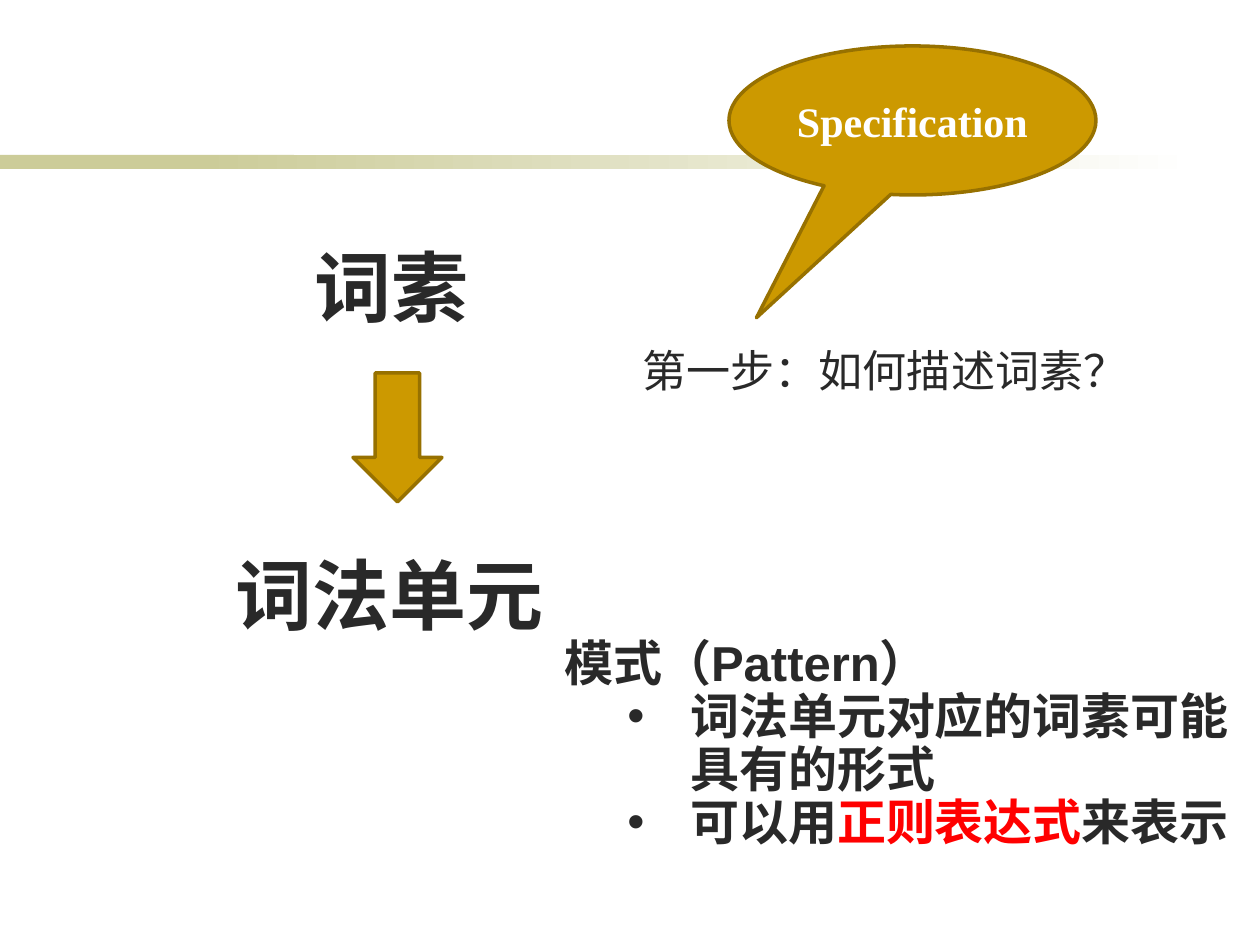
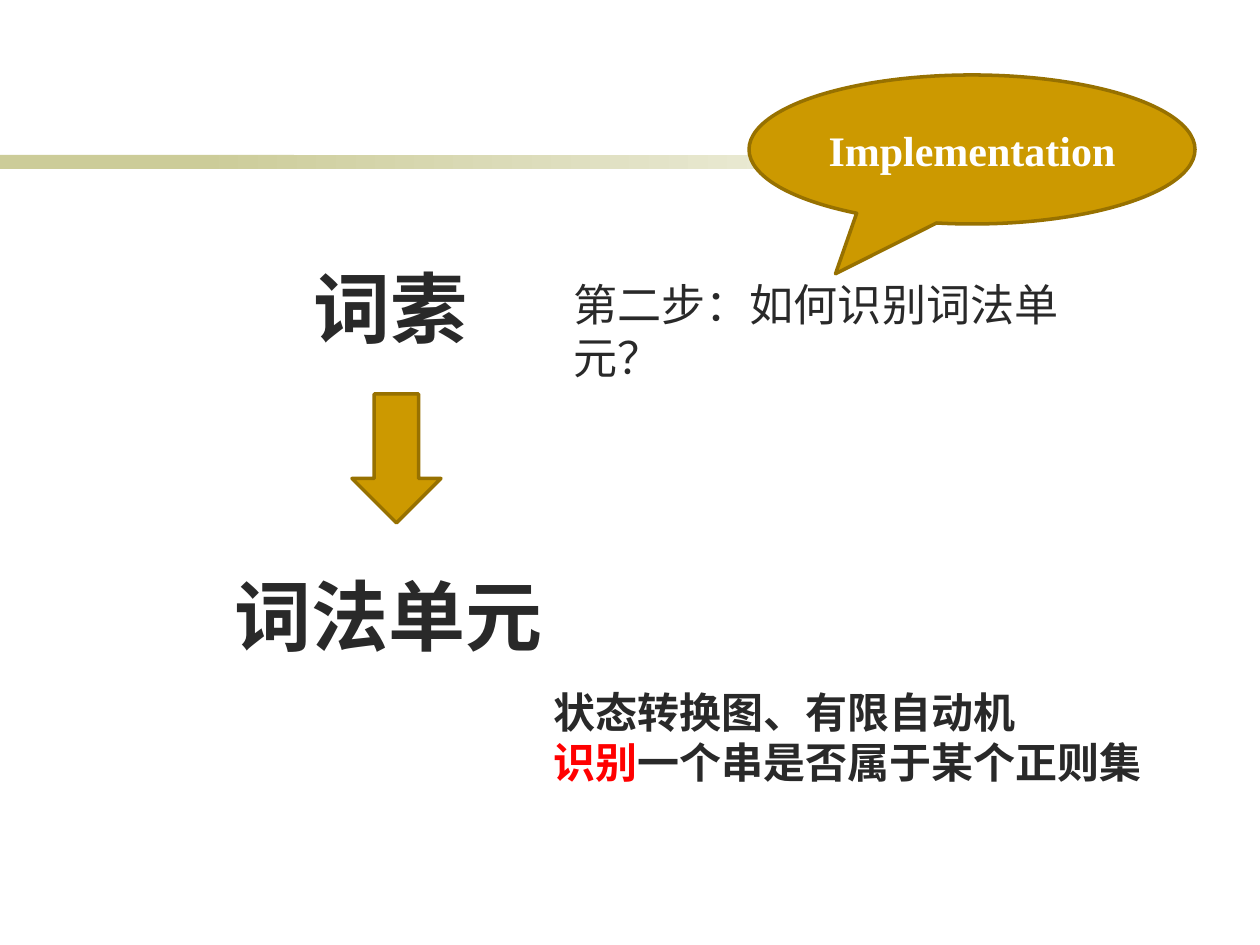
"""Build two slides on specifying and implementing lexical analysis."""
from dataclasses import dataclass

from lxml import etree
from pptx import Presentation
from pptx.dml.color import RGBColor
from pptx.enum.shapes import MSO_SHAPE
from pptx.enum.text import MSO_ANCHOR, MSO_AUTO_SIZE, PP_ALIGN
from pptx.oxml.ns import qn
from pptx.util import Emu, Pt

RECTANGLE = MSO_SHAPE.RECTANGLE
DOWN_ARROW = MSO_SHAPE.DOWN_ARROW
CALLOUT = MSO_SHAPE.OVAL_CALLOUT
TOP, MIDDLE, BOTTOM = MSO_ANCHOR.TOP, MSO_ANCHOR.MIDDLE, MSO_ANCHOR.BOTTOM
CENTER = PP_ALIGN.CENTER
GROW = MSO_AUTO_SIZE.SHAPE_TO_FIT_TEXT
NO_FIT = MSO_AUTO_SIZE.NONE
PX = 914400 / 126


@dataclass(frozen=True)
class Theme:
    ink: str = "292929"
    accent: str = "FF0000"
    gold: str = "CC9900"
    gold_edge: str = "977100"
    band: str = "CCCC99"
    paper: str = "FFFFFF"
    body_font: str = "Arial"
    callout_font: str = "Times New Roman"
    question_size: float = 25.2
    term_size: float = 44
    pattern_size: float = 28
    note_size: float = 24
    edge_width: float = 2
    tight: float = 0.9


def px(length):
    return Emu(round(length * PX))


def rgb(value):
    return RGBColor.from_string(value)


class Deck:
    def __init__(self, theme):
        self.theme = theme
        self.presentation = Presentation()
        self.presentation.slide_width = px(1260)
        self.presentation.slide_height = px(945)
        self.slide = None

    def new_slide(self):
        blank = self.presentation.slide_layouts[6]
        self.slide = self.presentation.slides.add_slide(blank)
        self.band(0, 294)
        self.band(199, 998, fade=True)

    def shape(self, kind, box):
        shape = self.slide.shapes.add_shape(kind, *map(px, box))
        shape.shadow.inherit = False
        return shape

    def band(self, left, width, fade=False):
        band = self.shape(RECTANGLE, (left, 155, width, 14))
        band.line.fill.background()
        if fade:
            band.fill.gradient()
            band.fill.gradient_angle = 0
            colors = (self.theme.band, self.theme.paper)
            for stop, color in zip(band.fill.gradient_stops, colors):
                stop.color.rgb = rgb(color)
        else:
            band.fill.solid()
            band.fill.fore_color.rgb = rgb(self.theme.band)

    def gold_shape(self, kind, box):
        shape = self.shape(kind, box)
        shape.fill.solid()
        shape.fill.fore_color.rgb = rgb(self.theme.gold)
        shape.line.color.rgb = rgb(self.theme.gold_edge)
        shape.line.width = Pt(self.theme.edge_width)
        return shape

    def callout(self, box, tail, label):
        callout = self.gold_shape(CALLOUT, box)
        callout.adjustments[0], callout.adjustments[1] = tail
        callout.text_frame.vertical_anchor = MIDDLE
        paragraph = callout.text_frame.paragraphs[0]
        paragraph.alignment = CENTER
        self.run(paragraph, label, self.theme.note_size, True,
                 self.theme.paper, self.theme.callout_font)

    def run(self, paragraph, words, size, bold, color, font):
        run = paragraph.add_run()
        run.text = words
        run.font.size = Pt(size)
        run.font.bold = bold
        run.font.name = font
        run.font.color.rgb = rgb(color)

    def text(self, box, lines, size, bold=True, spacing=None,
             anchor=TOP, fit=GROW, bullets_from=None):
        frame = self.slide.shapes.add_textbox(*map(px, box)).text_frame
        frame.word_wrap = True
        frame.auto_size = fit
        frame.vertical_anchor = anchor
        for index, line in enumerate(lines):
            paragraph = frame.add_paragraph() if index else frame.paragraphs[0]
            if spacing:
                paragraph.line_spacing = spacing
            if bullets_from is not None and index >= bullets_from:
                self.bullet(paragraph)
            for words, color in line:
                self.run(paragraph, words, size, bold, color,
                         self.theme.body_font)

    def bullet(self, paragraph):
        properties = paragraph._p.get_or_add_pPr()
        properties.set("marL", str(px(126)))
        properties.set("indent", str(-px(63)))
        etree.SubElement(properties, qn("a:buFont"),
                         typeface=self.theme.body_font)
        etree.SubElement(properties, qn("a:buChar"), char="•")

    def question(self, box, words):
        self.text(box, [[(words, self.theme.ink)]], self.theme.question_size,
                  bold=False, anchor=BOTTOM, fit=NO_FIT)

    def term(self, box, words):
        self.text(box, [[(words, self.theme.ink)]], self.theme.term_size,
                  spacing=self.theme.tight)

    def lexeme_to_token(self, left, top):
        self.term((left, top, 218, 97), "词素")
        self.gold_shape(DOWN_ARROW, (left + 51, top + 129, 89, 129))
        self.term((left - 79, top + 308, 367, 97), "词法单元")

    def save(self):
        self.presentation.save("out.pptx")


def main():
    theme = Theme()
    ink, accent = theme.ink, theme.accent
    deck = Deck(theme)

    deck.new_slide()
    deck.question((630, 314, 514, 89), "第一步：如何描述词素？")
    pattern = [
        [("模式（Pattern）", ink)],
        [("词法单元对应的词素可能具有的形式", ink)],
        [("可以用", ink), ("正则表达式", accent), ("来表示", ink)],
    ]
    deck.text((552, 633, 707, 227), pattern, theme.pattern_size,
              spacing=theme.tight, bullets_from=1)
    deck.lexeme_to_token(302, 244)
    deck.callout((729, 46, 367, 149), (-0.425, 1.324), "Specification")

    deck.new_slide()
    deck.question((561, 301, 553, 89), "第二步：如何识别词法单元？")
    deck.lexeme_to_token(301, 265)
    recognition = [
        [("状态转换图、有限自动机", ink)],
        [("识别", accent), ("一个串是否属于某个正则集", ink)],
    ]
    deck.text((541, 680, 630, 115), recognition, theme.note_size)
    deck.callout((749, 75, 446, 149), (-0.306, 0.834), "Implementation")

    deck.save()


if __name__ == "__main__":
    main()
